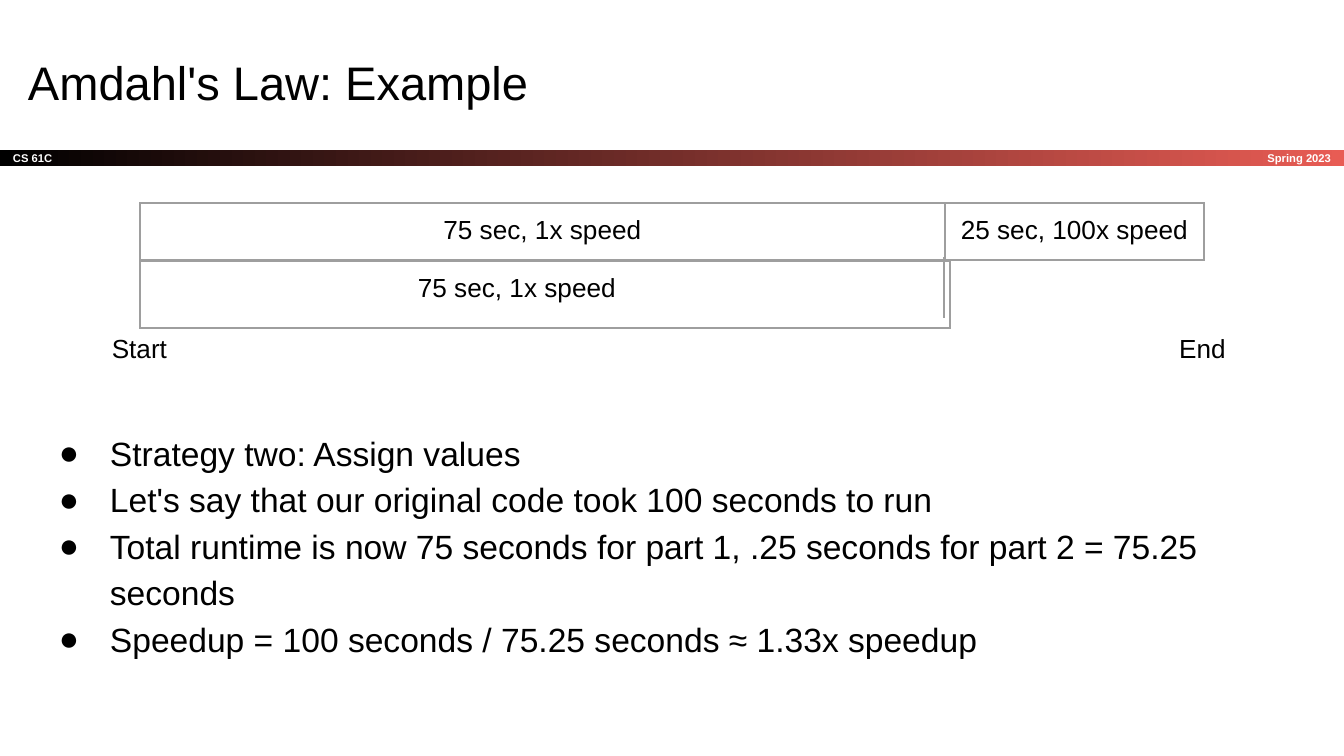
from lxml import etree
from pptx import Presentation
from pptx.dml.color import RGBColor
from pptx.enum.shapes import MSO_CONNECTOR, MSO_SHAPE
from pptx.enum.text import MSO_ANCHOR, MSO_AUTO_SIZE, PP_ALIGN
from pptx.oxml.ns import qn
from pptx.util import Pt

LEFT, CENTER, RIGHT = PP_ALIGN.LEFT, PP_ALIGN.CENTER, PP_ALIGN.RIGHT
TOP, MIDDLE = MSO_ANCHOR.TOP, MSO_ANCHOR.MIDDLE
NO_FIT = MSO_AUTO_SIZE.NONE
RECT, STRAIGHT = MSO_SHAPE.RECTANGLE, MSO_CONNECTOR.STRAIGHT
TITLE_ONLY = 5
EMU_PER_PX = 914400 / 134.4
INSET = 13
FONT = "Arial"
BLACK, WHITE, GREY, RED = "000000", "FFFFFF", "9E9E9E", "E85C54"
BULLETS = [
    "Strategy two: Assign values",
    "Let's say that our original code took 100 seconds to run",
    "Total runtime is now 75 seconds for part 1, .25 seconds for part 2 = 75.25 seconds",
    "Speedup = 100 seconds / 75.25 seconds ≈ 1.33x speedup",
]


def px(n):
    """Turn pixels into EMU."""
    return round(n * EMU_PER_PX)


def rgb(color):
    """Turn a hex string into a colour."""
    return RGBColor.from_string(color)


def write(tf, lines, size, color=BLACK, bold=False, align=LEFT, anchor=TOP):
    """Fill a text frame with formatted paragraphs."""
    tf.word_wrap = True
    tf.auto_size = NO_FIT
    tf.vertical_anchor = anchor
    tf.margin_left = tf.margin_right = tf.margin_top = tf.margin_bottom = px(INSET)
    tf.text = "\n".join(lines)
    for p in tf.paragraphs:
        format_paragraph(p, size, color, bold, align)


def format_paragraph(p, size, color=BLACK, bold=False, align=LEFT):
    """Set the alignment and font of a paragraph."""
    p.alignment = align
    for r in p.runs:
        r.font.name, r.font.size, r.font.bold = FONT, Pt(size), bold
        r.font.color.rgb = rgb(color)


def add_text(s, box, lines, size, **style):
    """Add a text box and return it."""
    sp = s.shapes.add_textbox(*map(px, box))
    write(sp.text_frame, lines, size, **style)
    return sp


def add_title(s, box, text):
    """Place and format the title placeholder."""
    sp = s.shapes.title
    sp.left, sp.top, sp.width, sp.height = map(px, box)
    write(sp.text_frame, [text], 25.2)


def add_band(s, top, height):
    """Add the gradient band with the course and the term."""
    sp = s.shapes.add_shape(RECT, 0, px(top), px(1344), px(height))
    sp.shadow.inherit = False
    sp.line.fill.background()
    sp.fill.gradient()
    sp.fill.gradient_angle = 0
    for stop, position, color in zip(sp.fill.gradient_stops, (0, 1), (BLACK, RED)):
        stop.position = position
        stop.color.rgb = rgb(color)
    style = {"color": WHITE, "bold": True, "anchor": MIDDLE}
    write(sp.text_frame, ["CS 61C"], 6, **style)
    add_text(s, (1121, top, 223, height), ["Spring 2023"], 6, align=RIGHT, **style)


def add_bullets(s, box, lines):
    """Add a bulleted list."""
    sp = add_text(s, box, lines, 18)
    for p in sp.text_frame.paragraphs:
        p.line_spacing = 1.15
        pPr = p._p.get_or_add_pPr()
        pPr.set("marL", str(px(67)))
        pPr.set("indent", str(px(-51)))
        clr = etree.SubElement(pPr, qn("a:buClr"))
        etree.SubElement(clr, qn("a:srgbClr"), val=BLACK)
        etree.SubElement(pPr, qn("a:buFont"), typeface=FONT)
        etree.SubElement(pPr, qn("a:buChar"), char="●")


def set_borders(cell, sides):
    """Draw the named cell sides in grey and hide the others."""
    tcPr = cell._tc.get_or_add_tcPr()
    for side in "LRTB":
        ln = etree.SubElement(tcPr, qn("a:ln" + side), w=str(Pt(0.75)))
        if side in sides:
            fill = etree.SubElement(ln, qn("a:solidFill"))
            etree.SubElement(fill, qn("a:srgbClr"), val=GREY)
        else:
            etree.SubElement(ln, qn("a:noFill"))


def add_timeline(s, left, top, height, parts):
    """Add a one-row table from (width, text, borders) parts."""
    total = sum(width for width, _, _ in parts)
    frame = s.shapes.add_table(1, len(parts), px(left), px(top), px(total), px(height))
    table = frame.table
    table.first_row = table.horz_banding = False
    for i, (width, text, sides) in enumerate(parts):
        table.columns[i].width = px(width)
        cell = table.cell(0, i)
        cell.margin_left = cell.margin_right = px(INSET)
        cell.margin_top = cell.margin_bottom = px(INSET)
        set_borders(cell, sides)
        cell.fill.background()
        if text:
            cell.text = text
            format_paragraph(cell.text_frame.paragraphs[0], 14, align=CENTER)


def add_line(s, x1, y1, x2, y2):
    """Add a thin grey line."""
    line = s.shapes.add_connector(STRAIGHT, px(x1), px(y1), px(x2), px(y2))
    line.line.color.rgb = rgb(GREY)
    line.line.width = Pt(0.75)
    etree.SubElement(line._element.spPr, qn("a:effectLst"))


def main():
    """Build the slide and save it."""
    prs = Presentation()
    prs.slide_width, prs.slide_height = px(1344), px(756)
    s = prs.slides.add_slide(prs.slide_layouts[TITLE_ONLY])
    add_band(s, 150, 16)
    add_title(s, (15, 40, 1253, 85), "Amdahl's Law: Example")
    add_bullets(s, (30, 414, 1253, 322), BULLETS)
    add_timeline(s, 140, 261, 58, [(754, "75 sec, 1x speed", "LTB"), (56, "", "RTB")])
    for left, text in ((65, "Start"), (1128, "End")):
        add_text(s, (left, 319, 149, 59), [text], 14, align=CENTER)
    add_timeline(s, 140, 203, 57, [(805, "75 sec, 1x speed", "LRTB"),
                                   (259, "25 sec, 100x speed", "LRTB")])
    add_line(s, 944, 257, 944, 318)
    prs.save("out.pptx")


main()
